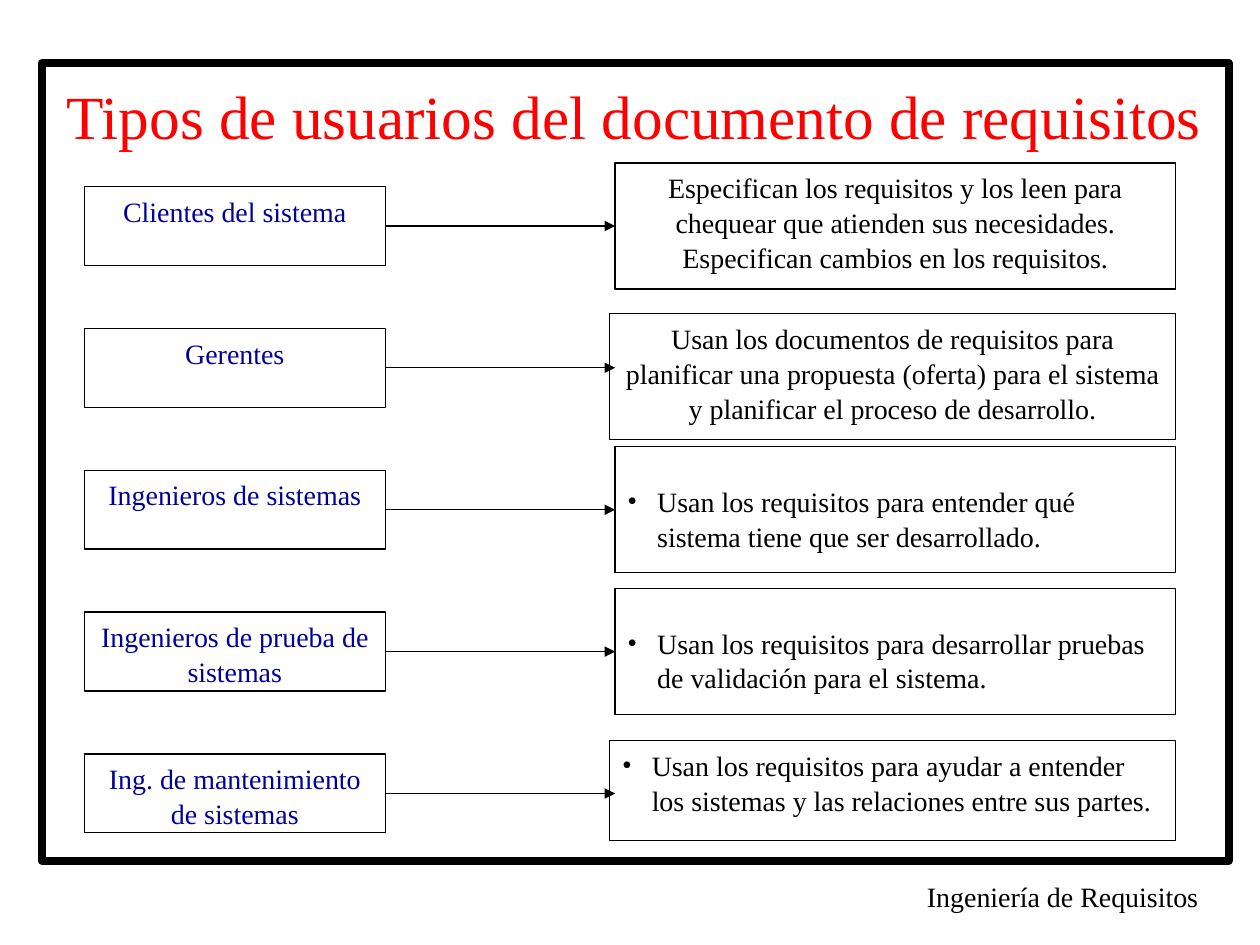
from dataclasses import dataclass

from lxml.etree import SubElement
from pptx import Presentation
from pptx.dml.color import RGBColor as Rgb
from pptx.enum.shapes import MSO_CONNECTOR as Connector, MSO_SHAPE as Shape
from pptx.enum.text import MSO_ANCHOR as Anchor, MSO_AUTO_SIZE as AutoSize, PP_ALIGN as Align
from pptx.oxml.ns import qn
from pptx.util import Cm, Pt


@dataclass(frozen=True)
class Theme:
    font: str = "Times New Roman"
    ink: Rgb = Rgb(0, 0, 0)
    paper: Rgb = Rgb(255, 255, 255)
    title: Rgb = Rgb(255, 0, 0)
    user: Rgb = Rgb(0, 0, 0x99)
    title_size: float = 35
    body_size: float = 16
    frame_line: float = 4.5
    thin_line: float = 0.75


@dataclass(frozen=True)
class Row:
    user: str
    use: str
    bullet: bool = False
    left: float = 12.4      # left edge of the use box
    rise: float = 1.27      # top of the use box above the row's middle
    height: float = 2.54
    inset_top: float = 0.13
    before: float = 3


THEME = Theme()
RIGHT_EDGE = 23.7
ROW_PITCH = 2.86
USER_WIDTH, USER_HEIGHT = 6.07, 1.59

ROWS = [
    Row("Clientes del sistema",
        "Especifican los requisitos y los leen para chequear que atienden sus "
        "necesidades. Especifican cambios en los requisitos."),
    Row("Gerentes",
        "Usan los documentos de requisitos para planificar una propuesta (oferta) "
        "para el sistema y planificar el proceso de desarrollo.",
        left=12.29, rise=1.09),
    Row("Ingenieros de sistemas",
        "Usan los requisitos para entender qué sistema tiene que ser desarrollado.",
        bullet=True, inset_top=0.73),
    Row("Ingenieros de prueba de sistemas",
        "Usan los requisitos para desarrollar pruebas de validación para el sistema.",
        bullet=True, inset_top=0.73),
    Row("Ing. de mantenimiento de sistemas",
        "Usan los requisitos para ayudar a entender los sistemas y las relaciones "
        "entre sus partes.",
        bullet=True, left=12.29, rise=1.06, height=2.01, before=12),
]


def set_all(target, values):
    for name, value in values.items():
        setattr(target, name, value)


def write(box, text, color, size=THEME.body_size, align=Align.CENTER,
          inset_top=0.13, inset_side=0.25, before=3, spacing=1.04):
    frame = box.text_frame
    set_all(frame, {
        "word_wrap": True, "auto_size": AutoSize.NONE, "vertical_anchor": Anchor.TOP,
        "margin_left": Cm(inset_side), "margin_right": Cm(inset_side),
        "margin_top": Cm(inset_top), "margin_bottom": Cm(0.13)})
    para = frame.paragraphs[0]
    set_all(para, {"alignment": align, "space_before": Pt(before), "line_spacing": spacing})
    span = para.add_run()
    span.text = text
    set_all(span.font, {"name": THEME.font, "size": Pt(size)})
    span.font.color.rgb = color
    return para


def add_bullet(para):
    props = para._p.get_or_add_pPr()
    props.set("marL", str(Cm(0.6)))
    props.set("indent", str(-Cm(0.6)))
    SubElement(props, qn("a:buFont"), typeface=THEME.font)
    SubElement(props, qn("a:buChar"), char="•")


def add_box(page, left, top, width, height, line_width=THEME.thin_line):
    box = page.shapes.add_shape(Shape.RECTANGLE, Cm(left), Cm(top), Cm(width), Cm(height))
    box.shadow.inherit = False
    box.fill.solid()
    box.fill.fore_color.rgb = THEME.paper
    box.line.color.rgb = THEME.ink
    box.line.width = Pt(line_width)
    return box


def add_arrow(page, left, right, middle):
    arrow = page.shapes.add_connector(
        Connector.STRAIGHT, Cm(left), Cm(middle), Cm(right), Cm(middle))
    arrow.line.color.rgb = THEME.ink
    arrow.line.width = Pt(THEME.thin_line)
    SubElement(arrow.line._get_or_add_ln(), qn("a:tailEnd"), type="triangle")
    SubElement(arrow._element.spPr, qn("a:effectLst"))
    return arrow


def add_title(page, left, top, width, height):
    title = page.shapes.title
    set_all(title, {"left": Cm(left), "top": Cm(top), "width": Cm(width), "height": Cm(height)})
    write(title, "Tipos de usuarios del documento de requisitos", THEME.title,
          THEME.title_size, Align.LEFT, inset_top=0.26, before=0, spacing=1.0)


def add_footer(page, left, top, width, height):
    footer = page.shapes.add_textbox(Cm(left), Cm(top), Cm(width), Cm(height))
    write(footer, "Ingeniería de Requisitos", THEME.ink, align=Align.RIGHT,
          inset_side=0.2, before=10)


def add_row(page, row, left, top):
    middle = top + USER_HEIGHT / 2
    user = add_box(page, left, top, USER_WIDTH, USER_HEIGHT)
    write(user, row.user, THEME.user)

    use = add_box(page, row.left, middle - row.rise, RIGHT_EDGE - row.left, row.height)
    para = write(use, row.use, THEME.ink, align=Align.LEFT if row.bullet else Align.CENTER,
                 inset_top=row.inset_top, before=row.before)
    if row.bullet:
        add_bullet(para)

    # Arrows share one end line; only boxes centred on the row can be joined there
    arrow = add_arrow(page, left + USER_WIDTH, Row.left, middle)
    arrow.begin_connect(user, 3)
    if row.rise == row.height / 2:
        arrow.end_connect(use, 1)


def add_rows(page, left, top):
    for index, row in enumerate(ROWS):
        add_row(page, row, left, top + index * ROW_PITCH)


def main():
    deck = Presentation()
    set_all(deck, {"slide_width": Cm(25.4), "slide_height": Cm(19.05)})
    page = deck.slides.add_slide(deck.slide_layouts[5])

    # Frame behind everything; the title placeholder is raised above it
    frame = add_box(page, 0.84, 1.27, 23.93, 16.08, THEME.frame_line)
    frame.fill.background()
    page.shapes.title._element.addprevious(frame._element)

    add_title(page, 1.09, 1.32, 24.1, 1.6)
    add_rows(page, 1.7, 3.76)
    add_footer(page, 2.34, 17.58, 22.02, 0.94)
    deck.save("out.pptx")


if __name__ == "__main__":
    main()
